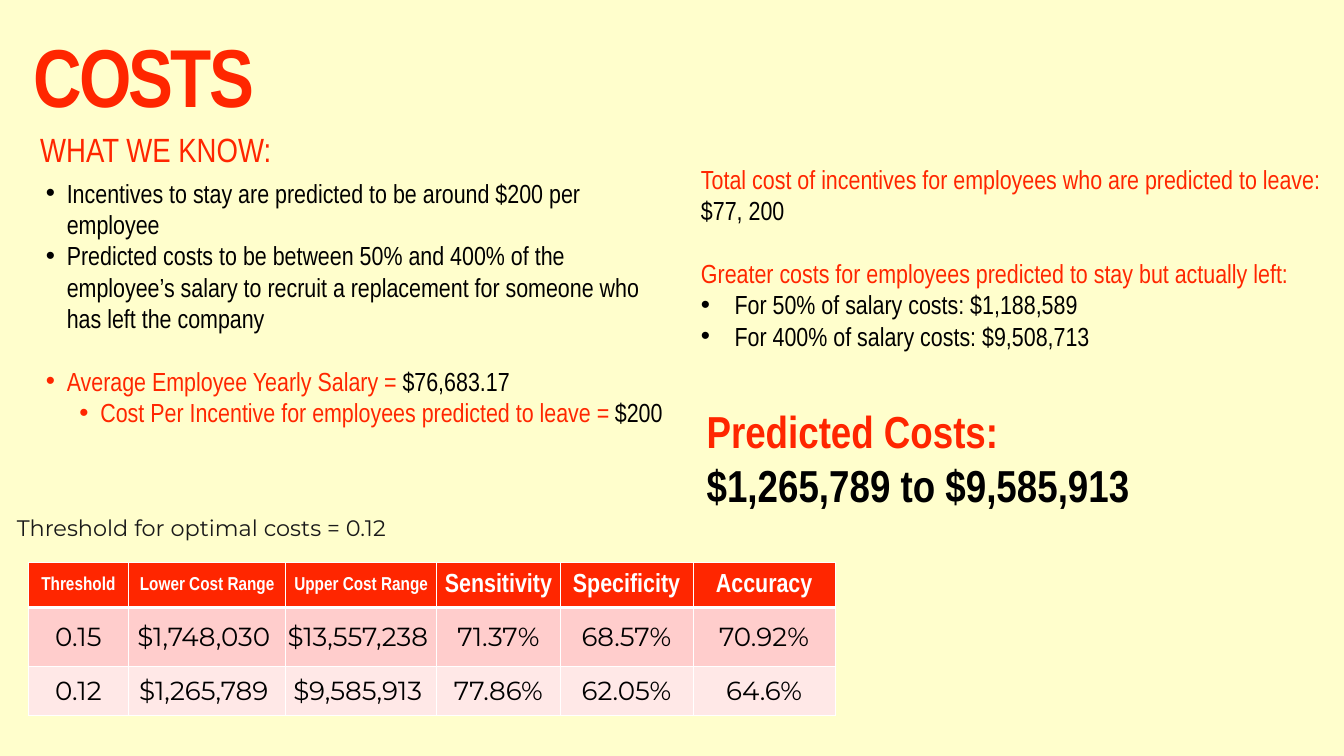
from dataclasses import dataclass

from lxml import etree
from pptx import Presentation
from pptx.dml.color import RGBColor
from pptx.enum.text import MSO_ANCHOR, PP_ALIGN
from pptx.oxml.ns import qn
from pptx.util import Pt

MIDDLE = MSO_ANCHOR.MIDDLE
TOP = MSO_ANCHOR.TOP
CENTER = PP_ALIGN.CENTER
BLANK_LAYOUT = 6


@dataclass(frozen=True)
class Theme:
    """Hold the colours, fonts and type sizes of the slide."""
    background: str = "FFFECC"
    accent: str = "FF2600"
    ink: str = "000000"
    soft_ink: str = "1A1A1A"
    white: str = "FFFFFF"
    bands: tuple = ("FFCDCC", "FFE8E7")
    narrow: str = "Arial Narrow"
    wide: str = "Montserrat"
    title: int = 88
    result: int = 48
    heading: int = 36
    body: int = 28
    note: int = 24
    label: int = 20
    line_gap: float = 33.5


THEME = Theme()


def add_span(para, text, color, size=THEME.body, font=THEME.narrow, bold=False):
    """Add one formatted run to a paragraph."""
    span = para.add_run()
    span.text = text
    span.font.name = font
    span.font.size = Pt(size)
    span.font.bold = bold
    span.font.color.rgb = RGBColor.from_string(color)
    return span


def add_box(page, left, top, width, height, inset=True, anchor=TOP):
    """Add a wrapping text box and return its frame."""
    frame = page.shapes.add_textbox(Pt(left), Pt(top), Pt(width), Pt(height)).text_frame
    frame.word_wrap = True
    frame.vertical_anchor = anchor
    if not inset:
        frame.margin_left = frame.margin_right = frame.margin_top = frame.margin_bottom = 0
    return frame


def set_bullet(para, margin, hang, level=0):
    """Give a paragraph a round bullet with a hanging indent."""
    para.level = level
    props = para._p.get_or_add_pPr()
    props.set("marL", str(Pt(margin)))
    props.set("indent", str(-Pt(hang)))
    etree.SubElement(props, qn("a:buFont"), typeface="Arial")
    etree.SubElement(props, qn("a:buChar"), char="•")


def add_lines(frame, lines):
    """Fill a frame from (spans, bullet, gap before) lines."""
    for index, (spans, bullet, gap) in enumerate(lines):
        para = frame.add_paragraph() if index else frame.paragraphs[0]
        if gap:
            para.space_before = Pt(gap)
        if bullet:
            set_bullet(para, *bullet)
        for text, color in spans:
            add_span(para, text, color)


def set_borders(cell, top, bottom):
    """Draw white borders around a cell, with their widths in points."""
    props = cell._tc.get_or_add_tcPr()
    widths = {"a:lnL": 1, "a:lnR": 1, "a:lnT": top, "a:lnB": bottom}
    for index, (tag, width) in enumerate(widths.items()):
        line = etree.Element(qn(tag), w=str(Pt(width)))
        fill = etree.SubElement(line, qn("a:solidFill"))
        etree.SubElement(fill, qn("a:srgbClr"), val=THEME.white)
        props.insert(index, line)


def fill_cell(cell, text, fill, **style):
    """Set the fill, margins and centred text of a cell."""
    cell.fill.solid()
    cell.fill.fore_color.rgb = RGBColor.from_string(fill)
    cell.vertical_anchor = MIDDLE
    cell.margin_left = cell.margin_right = cell.margin_top = Pt(0.72)
    cell.margin_bottom = 0
    para = cell.text_frame.paragraphs[0]
    para.alignment = CENTER
    add_span(para, text, **style)


def add_threshold_table(page):
    """Add the table that compares the two thresholds."""
    headers = ("Threshold", "Lower Cost Range", "Upper Cost Range",
               "Sensitivity", "Specificity", "Accuracy")
    records = (("0.15", "$1,748,030 ", "$13,557,238 ", "71.37%", "68.57%", "70.92%"),
               ("0.12", "$1,265,789 ", "$9,585,913 ", "77.86%", "62.05%", "64.6%"))
    widths = (108, 168, 162, 132, 142.5, 152.5)
    heights = (48, 62.5, 52.5)
    table = page.shapes.add_table(len(heights), len(widths), Pt(30), Pt(603),
                                  Pt(sum(widths)), Pt(sum(heights))).table
    for column, width in zip(table.columns, widths):
        column.width = Pt(width)
    for row, height in zip(table.rows, heights):
        row.height = Pt(height)
    for col, text in enumerate(headers):
        cell = table.cell(0, col)
        size = THEME.label if col < 3 else THEME.body
        fill_cell(cell, text, THEME.accent, color=THEME.white, size=size, bold=True)
        set_borders(cell, 1, 3)
    for row, (record, band) in enumerate(zip(records, THEME.bands), start=1):
        for col, text in enumerate(record):
            cell = table.cell(row, col)
            fill_cell(cell, text, band, color=THEME.ink, font=THEME.wide)
            set_borders(cell, 3 if row == 1 else 1, 1)


def add_headings(page):
    """Add the title, the section heading and the threshold note."""
    para = add_box(page, 36, 39, 372, 102, inset=False, anchor=MIDDLE).paragraphs[0]
    para.line_spacing = 0.78
    span = add_span(para, "COSTS", THEME.accent, THEME.title, bold=True)
    span.font._element.set("spc", "-300")

    para = add_box(page, 18, 531.5, 589, 58, inset=False, anchor=MIDDLE).paragraphs[0]
    para.line_spacing = 1.33
    add_span(para, "Threshold for optimal costs = 0.12", THEME.soft_ink, THEME.note, THEME.wide)

    para = add_box(page, 36, 135, 576, 51).paragraphs[0]
    add_span(para, "WHAT WE KNOW:", THEME.accent, THEME.heading)


def add_known_facts(page):
    """Add the bulleted facts on the left."""
    bullet, sub_bullet = (22.5, 22.5), (58.5, 22.5, 1)
    add_lines(add_box(page, 42, 186.2, 678, 346.6), (
        ([("Incentives to stay are predicted to be around $200 per employee", THEME.ink)],
         bullet, 0),
        ([("Predicted costs to be between 50% and 400% of the employee’s salary to recruit "
           "a replacement for someone who has left the company", THEME.ink)], bullet, 0),
        ([("Average Employee Yearly Salary = ", THEME.accent), ("$76,683.17", THEME.ink)],
         bullet, THEME.line_gap),
        ([("Cost Per Incentive for employees predicted to leave = ", THEME.accent),
          ("$200", THEME.ink)], sub_bullet, 0),
    ))


def add_cost_findings(page):
    """Add the cost totals and the predicted range on the right."""
    bullet = (36, 36)
    add_lines(add_box(page, 744, 171.5, 678, 211), (
        ([("Total cost of incentives for employees who are predicted to leave:",
           THEME.accent)], None, 0),
        ([("$77, 200", THEME.ink)], None, 0),
        ([("Greater costs for employees predicted to stay but actually left:",
           THEME.accent)], None, THEME.line_gap),
        ([("For 50% of salary costs: $1,188,589", THEME.ink)], bullet, 0),
        ([("For 400% of salary costs: $9,508,713", THEME.ink)], bullet, 0),
    ))
    frame = add_box(page, 750, 429, 558, 124)
    add_span(frame.paragraphs[0], "Predicted Costs:", THEME.accent, THEME.result, bold=True)
    add_span(frame.add_paragraph(), "$1,265,789 to $9,585,913", THEME.ink,
             THEME.result, bold=True)


def main():
    """Build the costs slide and save the deck."""
    deck = Presentation()
    deck.slide_width, deck.slide_height = Pt(1440), Pt(810)
    page = deck.slides.add_slide(deck.slide_layouts[BLANK_LAYOUT])
    page.background.fill.solid()
    page.background.fill.fore_color.rgb = RGBColor.from_string(THEME.background)
    add_headings(page)
    add_known_facts(page)
    add_cost_findings(page)
    add_threshold_table(page)
    deck.save("out.pptx")


if __name__ == "__main__":
    main()
